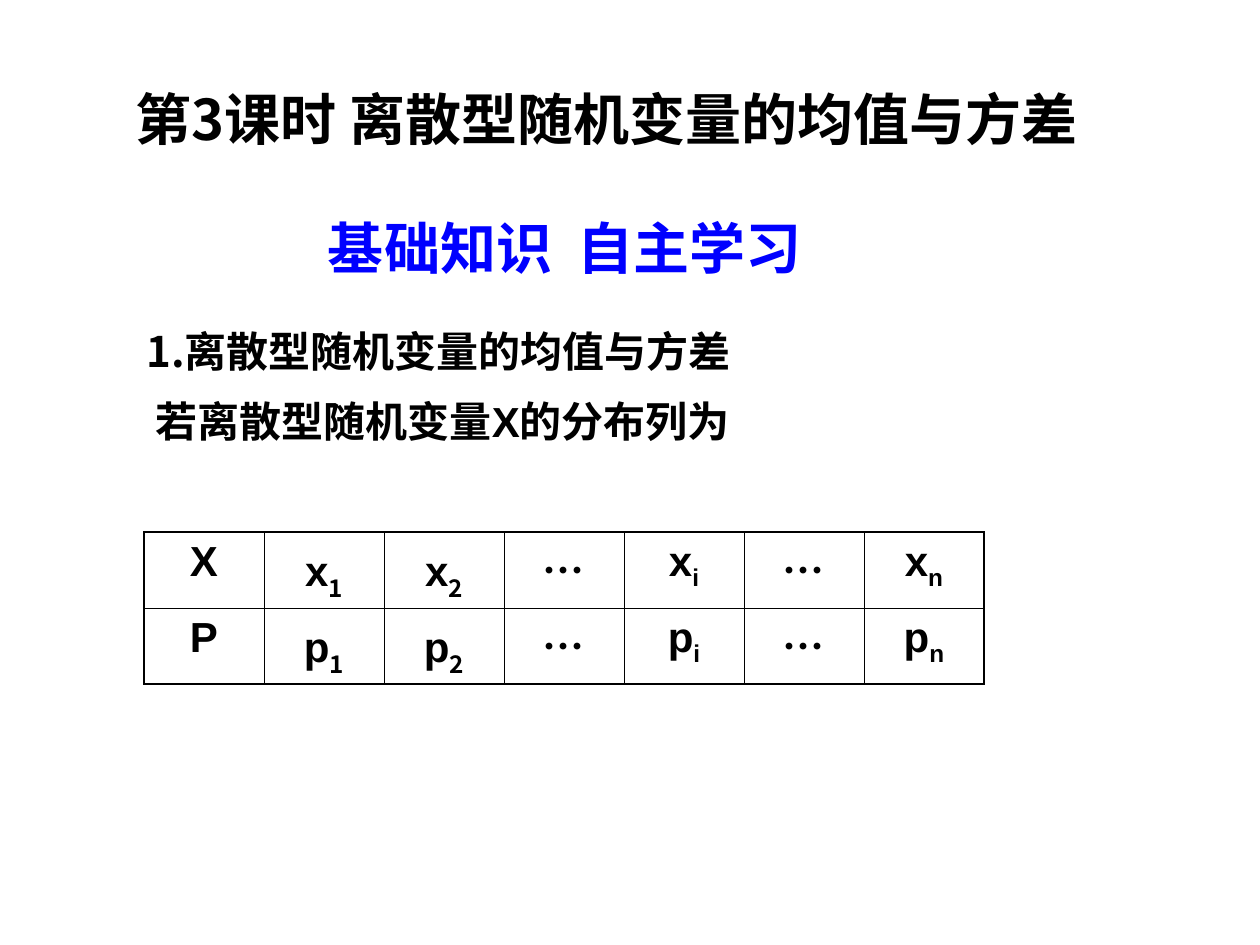
import pptx
import pptx.util
import pptx.dml.color
import pptx.enum.text
import pptx.oxml.ns
import lxml.etree

SCALE = 914400 / 126
COLORS = {"ink": "000000", "blue": "0000FF"}
HAN = "Noto Sans CJK SC"
LATIN = "Arial"
ALIGN = pptx.enum.text.PP_ALIGN
THICK, THIN = 1.08, 0.45


def px(count):
    """Turn whole pixels into EMU."""
    return pptx.util.Emu(round(count * SCALE))


def tint(name):
    """Give the named colour."""
    return pptx.dml.color.RGBColor.from_string(COLORS[name])


def sub(parent, tag, **attrs):
    """Add a child element."""
    return lxml.etree.SubElement(parent, pptx.oxml.ns.qn(tag), attrs)


def write(para, parts, size, color="ink"):
    """Add bold runs given as (text, font, is subscript)."""
    for text, face, low in parts:
        run = para.add_run()
        run.text = text
        font = run.font
        font.size = pptx.util.Pt(size)
        font.bold = True
        font.color.rgb = tint(color)
        font.name = face
        props = run._r.get_or_add_rPr()
        sub(props, "a:ea", typeface=face)
        if low:
            props.set("baseline", "-25000")


def frame(slide, box):
    """Add a wrapping text box and give its text frame."""
    text = slide.shapes.add_textbox(*map(px, box)).text_frame
    text.word_wrap = True
    return text


def heading(slide, box, words, color):
    """Place a centred heading."""
    para = frame(slide, box).paragraphs[0]
    para.alignment = ALIGN.CENTER
    write(para, [(words, HAN, False)], 32, color)


def body(slide, box, lines):
    """Place the lines of the lesson text."""
    text = frame(slide, box)
    for row, parts in enumerate(lines):
        para = text.add_paragraph() if row else text.paragraphs[0]
        para.line_spacing = pptx.util.Pt(40)
        write(para, parts, 24)


def border(cell, widths):
    """Draw the cell's left, right, top and bottom lines."""
    props = cell._tc.get_or_add_tcPr()
    for side, width in zip("LRTB", widths):
        line = sub(props, "a:ln" + side, w=str(pptx.util.Pt(width)))
        sub(sub(line, "a:solidFill"), "a:srgbClr", val=COLORS["ink"])


def grid(slide, box, marks, heads):
    """Place the distribution table, one row for each head letter."""
    rows, cols = len(heads), len(marks) + 1
    table = slide.shapes.add_table(rows, cols, *map(px, box)).table
    table.first_row = table.horz_banding = False
    for col in table.columns:
        col.width = px(box[2] // cols)
    for r, head in enumerate(heads):
        table.rows[r].height = px(box[3] // rows)
        for c in range(cols):
            mark = marks[c - 1]
            if c == 0:
                parts = [(head, LATIN, False)]
            elif mark == "…":
                parts = [(mark, HAN, False)]
            else:
                face = HAN if mark.isdigit() else LATIN
                parts = [(head.lower(), LATIN, False), (mark, face, True)]
            cell = table.cell(r, c)
            edges = (c == 0, c == cols - 1, r == 0, r == rows - 1)
            border(cell, [THICK if edge else THIN for edge in edges])
            cell.fill.background()
            para = cell.text_frame.paragraphs[0]
            para.alignment = ALIGN.CENTER
            write(para, parts, 24)


def main():
    """Build the slide and save it."""
    deck = pptx.Presentation()
    deck.slide_width, deck.slide_height = px(1260), px(945)
    slide = deck.slides.add_slide(deck.slide_layouts[6])
    body(slide, (134, 300, 992, 153), [
        [("1.离散型随机变量的均值与方差", HAN, False)],
        [(" 若离散型随机变量", HAN, False), ("X", LATIN, False),
         ("的分布列为", HAN, False)],
    ])
    heading(slide, (94, 78, 1026, 97), "第3课时 离散型随机变量的均值与方差", "ink")
    grid(slide, (144, 532, 840, 152), ["1", "2", "…", "i", "…", "n"], "XP")
    heading(slide, (178, 207, 774, 97), "基础知识  自主学习", "blue")
    deck.save("out.pptx")


if __name__ == "__main__":
    main()
